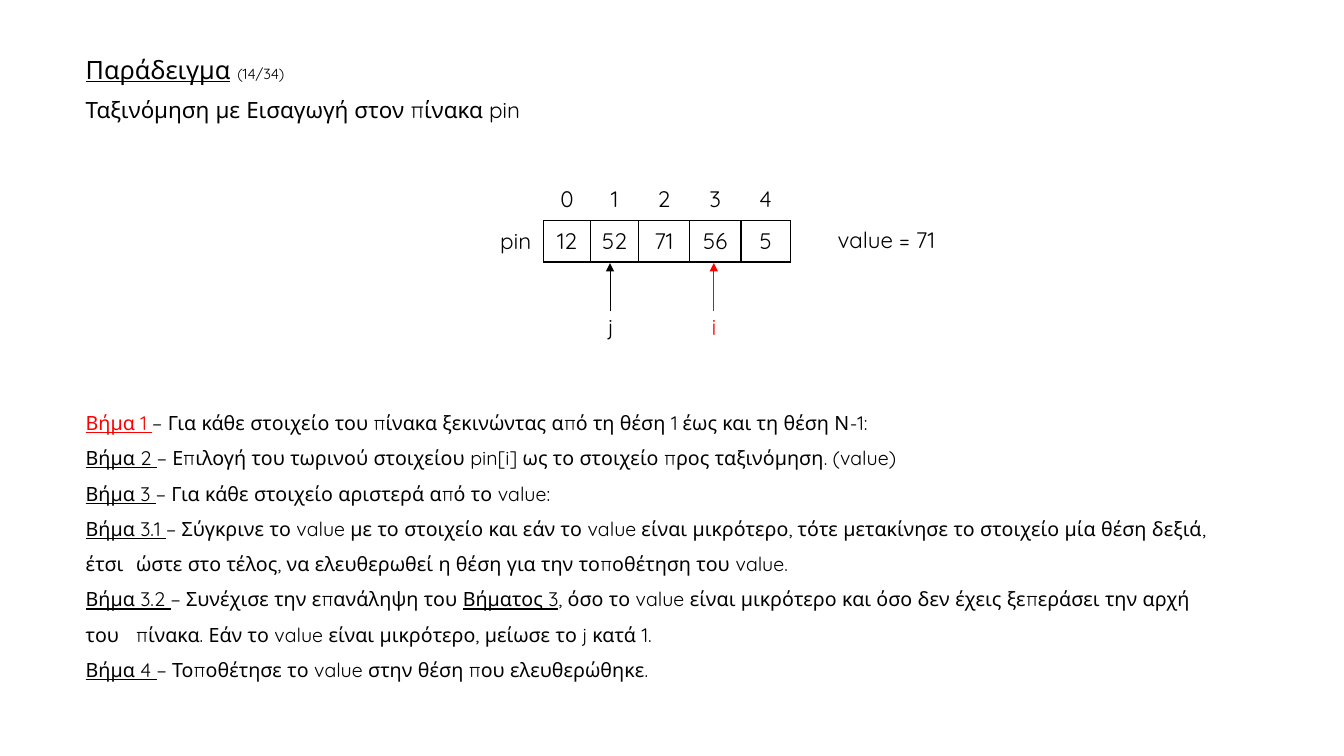
from lxml.etree import SubElement
from pptx import Presentation
from pptx.dml.color import RGBColor
from pptx.enum.shapes import MSO_CONNECTOR as Link
from pptx.enum.text import MSO_ANCHOR as Anchor, MSO_AUTO_SIZE as Auto, PP_ALIGN as Align
from pptx.oxml.ns import qn
from pptx.util import Inches, Pt

BLACK = RGBColor(0, 0, 0)
RED = RGBColor(255, 0, 0)
FONT = "Quicksand"


def add_run(par, text, size=16, color=BLACK, under=False):
    run = par.add_run()
    run.text = text
    font = run.font
    font.name, font.size, font.underline = FONT, Pt(size), under
    font.color.rgb = color


def place(shape, left, top, width, height):
    """Set the position of a text shape and return its top-anchored frame."""
    shape.left, shape.top = Inches(left), Inches(top)
    shape.width, shape.height = Inches(width), Inches(height)
    frame = shape.text_frame
    frame.word_wrap = True
    frame.auto_size = Auto.NONE
    frame.vertical_anchor = Anchor.TOP
    return frame


deck = Presentation()
deck.slide_width, deck.slide_height = Inches(13.33), Inches(7.5)
slide = deck.slides.add_slide(deck.slide_layouts[1])
shapes = slide.shapes

# Heading
frame = place(shapes.title, 0.75, 0.52, 10.79, 0.77)
head = frame.paragraphs[0]
add_run(head, "Παράδειγμα", 18, under=True)
add_run(head, " ", 18)
add_run(head, "(14/34)", 10.5)
sub = frame.add_paragraph()
sub.space_before = Pt(10)
add_run(sub, "Ταξινόμηση με Εισαγωγή στον πίνακα pin")
for par in frame.paragraphs:
    par.alignment = Align.LEFT
    par.line_spacing = 0.9

# Steps: plain and underlined runs alternate, starting underlined
steps = [
    ["Βήμα 1 ", "− Για κάθε στοιχείο του πίνακα ξεκινώντας από τη θέση 1 έως και τη θέση Ν-1:"],
    ["Βήμα 2 ", "− Επιλογή του τωρινού στοιχείου pin[i] ως το στοιχείο προς ταξινόμηση. (value)"],
    ["Βήμα 3 ", "− Για κάθε στοιχείο αριστερά από το value:"],
    ["Βήμα 3.1 ", "− Σύγκρινε το value με το στοιχείο και εάν το value είναι μικρότερο, "
     "τότε μετακίνησε το στοιχείο μία θέση δεξιά, έτσι \tώστε στο τέλος, "
     "να ελευθερωθεί η θέση για την τοποθέτηση του value."],
    ["Βήμα 3.2 ", "− Συνέχισε την επανάληψη του ", "Βήματος 3",
     ", όσο το value είναι μικρότερο και όσο δεν έχεις ξεπεράσει την αρχή του "
     "\tπίνακα. Εάν το value είναι μικρότερο, μείωσε το j κατά 1."],
    ["Βήμα 4 ", "− Τοποθέτησε το value στην θέση που ελευθερώθηκε."],
]
frame = place(slide.placeholders[1], 0.75, 3.91, 11.53, 2.88)
for row, parts in enumerate(steps):
    par = frame.add_paragraph() if row else frame.paragraphs[0]
    props = par._p.get_or_add_pPr()
    props.set("marL", "0")
    props.set("indent", "0")
    SubElement(props, qn("a:buNone"))
    par.line_spacing = 1.5
    par.space_before = Pt(0)
    for pos, text in enumerate(parts):
        color = RED if row == pos == 0 else BLACK
        add_run(par, text, 14, color, under=pos % 2 == 0)

# Array
cells = [["", "0", "1", "2", "3", "4"], ["pin", "12", "52", "71", "56", "5"]]
widths = [0.55, 0.47, 0.47, 0.51, 0.51, 0.49]
heights = [0.43, 0.41]
table = shapes.add_table(2, 6, Inches(4.84), Inches(1.76),
                         Inches(sum(widths)), Inches(sum(heights))).table
table.first_row = table.horz_banding = False
for col, width in zip(table.columns, widths):
    col.width = Inches(width)
for row, height in zip(table.rows, heights):
    row.height = Inches(height)
for row, texts in enumerate(cells):
    for col, text in enumerate(texts):
        cell = table.cell(row, col)
        cell.vertical_anchor = Anchor.MIDDLE
        par = cell.text_frame.paragraphs[0]
        par.alignment = Align.CENTER
        if text:
            add_run(par, text)
        if col == 0:
            sides = "R" if row else ""
        else:
            sides = "LRTB" if row else "B"
        props = cell._tc.get_or_add_tcPr()
        for side in sides:
            edge = SubElement(props, qn("a:ln" + side), w=str(Pt(1)))
            fill = SubElement(edge, qn("a:solidFill"))
            SubElement(fill, qn("a:srgbClr"), val=str(BLACK))
        cell.fill.background()

# Index pointers
for name, mid, color in [("j", 6.05, BLACK), ("i", 7.08, RED)]:
    label = shapes.add_textbox(0, 0, 0, 0)
    par = place(label, mid - 0.12, 3.09, 0.24, 0.36).paragraphs[0]
    par.alignment = Align.CENTER
    par.line_spacing = 0.9
    add_run(par, name, color=color)
    arrow = shapes.add_connector(Link.STRAIGHT, Inches(mid), Inches(3.09),
                                 Inches(mid), Inches(2.61))
    arrow.begin_connect(label, 0)
    arrow.line.color.rgb = color
    arrow.line.width = Pt(0.5)
    SubElement(arrow.line._get_or_add_ln(), qn("a:tailEnd"), type="triangle")
    SubElement(arrow._element.spPr, qn("a:effectLst"))

# Current value
par = place(shapes.add_textbox(0, 0, 0, 0), 8.21, 2.22, 1.31, 0.47).paragraphs[0]
par.line_spacing = 0.9
add_run(par, "value = 71")

deck.save("out.pptx")
